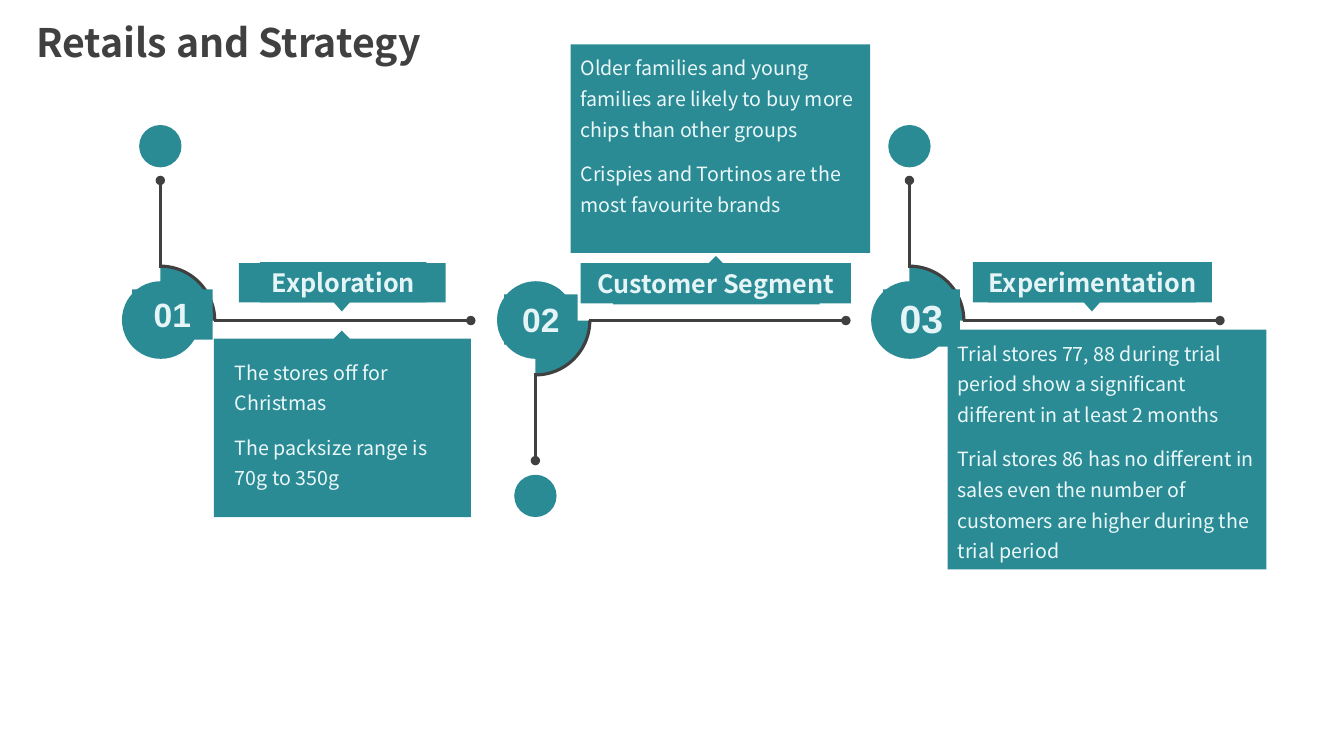
"""Build the Retails and Strategy slide: three numbered steps with labels and panels."""
import pptx
import pptx.util
import pptx.dml.color
import pptx.enum.shapes
import pptx.enum.text
import pptx.oxml
import pptx.oxml.ns

PX = 9144
TEAL, DARK, PALE, LIGHT = "2B8B95", "404040", "E5F5F7", "EBF8F9"
SANS = "Noto Sans CJK SC"
Pt = pptx.util.Pt
Kind = pptx.enum.shapes.MSO_SHAPE
Align = pptx.enum.text.PP_ALIGN
qn = pptx.oxml.ns.qn


def paint(fill, tint):
    fill.solid()
    fill.fore_color.rgb = pptx.dml.color.RGBColor.from_string(tint)


def write(frame, lines, wrap, look, face, tint):
    frame.word_wrap = wrap
    frame.auto_size = pptx.enum.text.MSO_AUTO_SIZE.NONE
    frame.vertical_anchor = pptx.enum.text.MSO_ANCHOR.TOP
    for at, margin in {"left": 10, "right": 10, "top": 5, "bottom": 5}.items():
        setattr(frame, "margin_" + at, margin * PX)
    for i, line in enumerate(lines):
        para = frame.paragraphs[0] if i == 0 else frame.add_paragraph()
        para.text = line
        para.space_before = Pt(10 if i else 0)
        for key, value in look.items():
            setattr(para, key, value)
        font = para.runs[0].font
        for key, value in face.items():
            setattr(font, key, value)
        paint(font.fill, tint)


deck = pptx.Presentation()
deck.slide_width, deck.slide_height = 1333 * PX, 750 * PX
slide = deck.slides.add_slide(deck.slide_layouts[5])
shapes = slide.shapes

title = shapes.title
for key, value in {"left": 26, "top": 18, "width": 756, "height": 52}.items():
    setattr(title, key, value * PX)
write(title.text_frame, ["Retails and Strategy"], True,
      {"alignment": Align.LEFT, "line_spacing": 0.9},
      {"name": SANS, "size": Pt(28), "bold": True}, DARK)

mid = {"alignment": Align.CENTER}
body = {"alignment": Align.LEFT, "line_spacing": 1.3}
head = {"name": SANS, "size": Pt(18), "bold": True}
plain = {"name": SANS, "size": Pt(14), "bold": False}

steps = [
    {"mid": 159, "up": True, "num": "01", "size": 24, "spot": (131, 287, 80, 50),
     "label": "Exploration", "tag": (258, 260, 165, 40),
     "flags": [(237, 442, 261, 300, 309), (212, 467, 513, 336, 328)],
     "panel": (223, 346, 232, 146),
     "text": ["The stores off for Christmas", "The packsize range is 70g to 350g"]},
    {"mid": 531, "up": False, "num": "02", "size": 24, "spot": (500, 292, 73, 50),
     "label": "Customer Segment", "tag": (576, 261, 268, 40),
     "flags": [(608, 813, 302, 262, 254)],
     "panel": (566, 44, 297, 207),
     "text": ["Older families and young families are likely to buy more chips than other groups",
              "Crispies and Tortinos are the most favourite brands"]},
    {"mid": 902, "up": True, "num": "03", "size": 28, "spot": (876, 287, 76, 57),
     "label": "Experimentation", "tag": (965, 260, 237, 40),
     "flags": [(980, 1186, 261, 300, 309)],
     "panel": (940, 327, 316, 238),
     "text": ["Trial stores 77, 88 during trial period show a significant different in at least 2 months",
              "Trial stores 86 has no different in sales even the number of customers "
              "are higher during the trial period"]},
]

for step in steps:
    x, up = step["mid"], step["up"]
    arc = shapes.add_shape(Kind.ARC, (x - 54) * PX, 264 * PX, 108 * PX, 108 * PX)
    arc.shadow.inherit = False
    paint(arc.fill, TEAL)
    paint(arc.line.fill, DARK)
    arc.line.width = Pt(2.25)
    if not up:
        arc._element.spPr.find(qn("a:xfrm")).set("flipV", "1")

    stem = (x, 266, x, 179) if up else (x, 370, x, 457)
    for ends in [(x + 53, 318, x + 308, 318), stem]:
        rule = shapes.add_connector(pptx.enum.shapes.MSO_CONNECTOR.STRAIGHT,
                                    *[n * PX for n in ends])
        paint(rule.line.fill, DARK)
        rule.line.width = Pt(2.25)
        rule.line._get_or_add_ln().append(pptx.oxml.parse_xml(
            '<a:tailEnd xmlns:a="http://schemas.openxmlformats.org/drawingml/2006/main" type="oval"/>'))
        rule._element.spPr.append(pptx.oxml.parse_xml(
            '<a:effectLst xmlns:a="http://schemas.openxmlformats.org/drawingml/2006/main"/>'))

    for left, right, far, base, tip in step["flags"]:
        peak = (left + right) // 2
        pen = shapes.build_freeform(left, far, scale=PX)
        pen.add_line_segments([(left, base), (peak - 8, base), (peak, tip),
                               (peak + 8, base), (right, base), (right, far)])
        flag = pen.convert_to_shape()
        flag.shadow.inherit = False
        paint(flag.fill, TEAL)
        flag.line.fill.background()

    digit = {"name": "Arial", "size": Pt(step["size"]), "bold": True}
    parts = [
        (Kind.RECTANGLE, step["tag"], ([step["label"]], False, mid, head, PALE)),
        (Kind.RECTANGLE, step["panel"], (step["text"], True, body, plain, LIGHT)),
        (Kind.OVAL, (x - 38, 279, 77, 77), None),
        (Kind.RECTANGLE, step["spot"], ([step["num"]], True, mid, digit, PALE)),
        (Kind.OVAL, (x - 21, 124 if up else 471, 42, 42), None),
    ]
    for kind, box, words in parts:
        part = shapes.add_shape(kind, *[n * PX for n in box])
        part.shadow.inherit = False
        paint(part.fill, TEAL)
        part.line.fill.background()
        if words:
            write(part.text_frame, *words)

deck.save("out.pptx")
